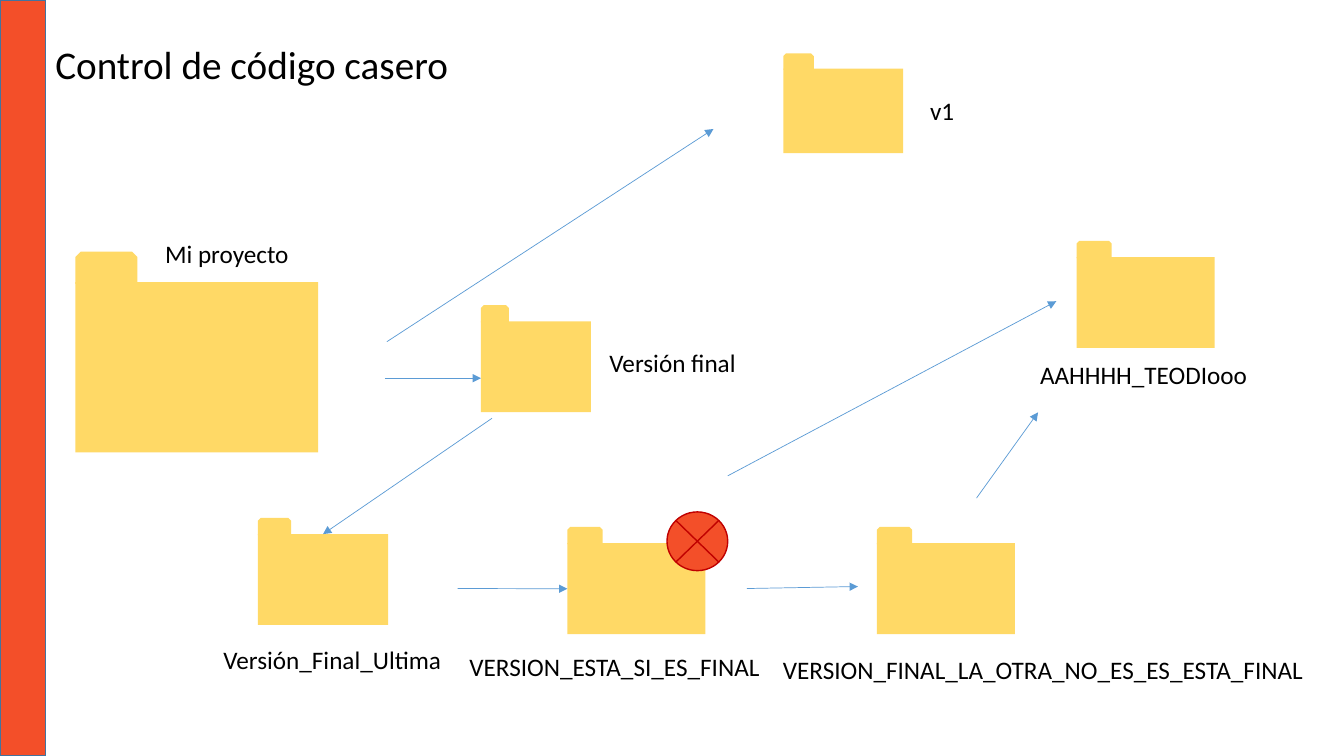
from lxml import etree
from pptx import Presentation
from pptx.dml.color import RGBColor
from pptx.enum.shapes import MSO_CONNECTOR, MSO_SHAPE
from pptx.enum.text import MSO_ANCHOR, PP_ALIGN
from pptx.oxml.ns import qn
from pptx.util import Cm, Pt

RECTANGLE = MSO_SHAPE.RECTANGLE
TAB_SHAPE = MSO_SHAPE.SNIP_2_SAME_RECTANGLE
CROSSED_CIRCLE = MSO_SHAPE.FLOWCHART_SUMMING_JUNCTION
STRAIGHT = MSO_CONNECTOR.STRAIGHT
LEFT, MIDDLE = PP_ALIGN.LEFT, MSO_ANCHOR.MIDDLE

FONT = "Calibri"
BLACK, ORANGE, YELLOW = "000000", "F34F29", "FFD966"
BLUE, DARK_BLUE, RED = "5B9BD5", "43739E", "C00000"
TOP_SIDE, LEFT_SIDE = 0, 1
TITLE_ONLY = 5

# Folder label: body box, label offset from the body, label width (cm)
FOLDERS = {
    "Mi proyecto": ((1.9, 7.11, 6.12, 4.29), (2.01, -1.24), 3.66),
    "v1": ((19.74, 1.73, 3.02, 2.13), (3.45, 0.56), 1.12),
    "Versión final": ((12.12, 8.1, 2.77, 2.29), (2.99, 0.54), 3.73),
    "Versión_Final_Ultima": ((6.5, 13.46, 3.28, 2.29), (-1.12, 2.64), 6.07),
    "VERSION_ESTA_SI_ES_FINAL": ((14.3, 13.69, 3.48, 2.29), (-2.72, 2.59), 7.9),
    "VERSION_FINAL_LA_OTRA_NO_ES_ES_ESTA_FINAL":
        ((22.1, 13.69, 3.48, 2.29), (-2.62, 2.67), 13.89),
    "AAHHHH_TEODIooo": ((27.13, 6.48, 3.48, 2.29), (-1.17, 2.44), 5.79),
}

# Start, end, and the folder and side that the arrow is joined to, if any (cm)
ARROWS = [
    ((9.75, 8.61), (17.98, 3.25), None),
    ((9.7, 9.53), (12.12, 9.53), None),
    ((12.4, 10.54), (8.13, 13.46), ("Versión_Final_Ultima", TOP_SIDE)),
    ((11.53, 14.83), (14.3, 14.83), ("VERSION_ESTA_SI_ES_FINAL", LEFT_SIDE)),
    ((18.82, 14.83), (21.62, 14.78), None),
    ((18.34, 11.99), (26.62, 7.59), None),
    ((24.61, 12.55), (26.16, 10.39), None),
]


def color(value):
    return RGBColor.from_string(value)


def add_block(slide, kind, box, fill, line=None):
    block = slide.shapes.add_shape(kind, *map(Cm, box))
    block.shadow.inherit = False
    block.fill.solid()
    block.fill.fore_color.rgb = color(fill)
    if line:
        block.line.color.rgb = color(line)
        block.line.width = Pt(1)
    else:
        block.line.fill.background()
    return block


def write(frame, text, size):
    frame.word_wrap = False
    frame.text = text
    paragraph = frame.paragraphs[0]
    paragraph.alignment = LEFT
    paragraph.font.name = FONT
    paragraph.font.size = Pt(size)
    paragraph.font.color.rgb = color(BLACK)


def add_title(slide, box):
    title = slide.shapes.title
    title.left, title.top, title.width, title.height = map(Cm, box)
    title.text_frame.vertical_anchor = MIDDLE
    write(title.text_frame, "Control de código casero", 28)


def add_folder(slide, box, label, label_offset, label_width):
    left, top, width, height = box
    body = add_block(slide, RECTANGLE, box, YELLOW)
    # The tab stands on the top left corner
    tab_box = (left, top - 0.18 * height, 0.255 * width, 0.19 * height)
    add_block(slide, TAB_SHAPE, tab_box, YELLOW)
    dx, dy = label_offset
    name = slide.shapes.add_textbox(
        Cm(left + dx), Cm(top + dy), Cm(label_width), Cm(1.02))
    write(name.text_frame, label, 18)
    return body


def add_arrow(slide, start, end, target=None, side=None):
    arrow = slide.shapes.add_connector(STRAIGHT, *map(Cm, start + end))
    if target is not None:
        arrow.end_connect(target, side)
    arrow.line.color.rgb = color(BLUE)
    arrow.line.width = Pt(0.5)
    etree.SubElement(arrow.line._get_or_add_ln(), qn("a:tailEnd"), type="triangle")
    etree.SubElement(arrow._element.spPr, qn("a:effectLst"))


def main():
    deck = Presentation()
    deck.slide_width, deck.slide_height = Cm(33.87), Cm(19.05)
    slide = deck.slides.add_slide(deck.slide_layouts[TITLE_ONLY])

    # Side bar and title
    add_block(slide, RECTANGLE, (0, 0, 1.15, 19.05), ORANGE, DARK_BLUE)
    add_title(slide, (1.14, 0.89, 10.74, 1.45))

    # Folders
    bodies = {label: add_folder(slide, box, label, offset, width)
              for label, (box, offset, width) in FOLDERS.items()}

    # Arrows between versions
    for start, end, joint in ARROWS:
        if joint:
            label, side = joint
            add_arrow(slide, start, end, bodies[label], side)
        else:
            add_arrow(slide, start, end)

    # Mark on the discarded version
    add_block(slide, CROSSED_CIRCLE, (16.81, 12.9, 1.53, 1.48), ORANGE, RED)

    deck.save("out.pptx")


if __name__ == "__main__":
    main()
